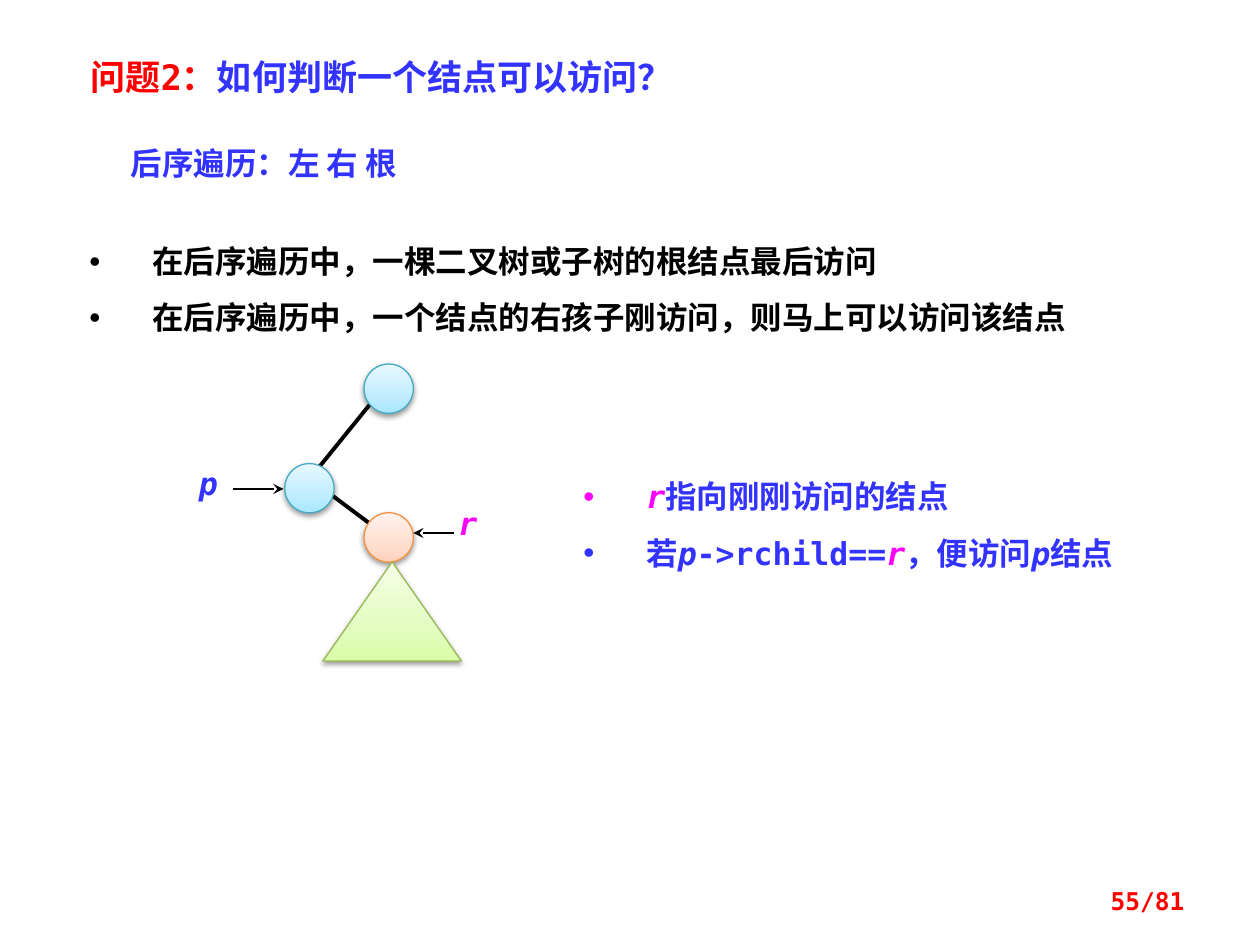
"""Builds a slide on deciding when a node may be visited in post-order traversal."""
from copy import deepcopy

from lxml import etree
from pptx import Presentation
from pptx.dml.color import RGBColor
from pptx.enum.shapes import MSO_CONNECTOR, MSO_SHAPE
from pptx.enum.text import MSO_ANCHOR, PP_ALIGN
from pptx.oxml.ns import qn
from pptx.util import Pt

LINE = MSO_CONNECTOR.STRAIGHT
CIRCLE, TRIANGLE = MSO_SHAPE.OVAL, MSO_SHAPE.ISOSCELES_TRIANGLE
TOP, MIDDLE = MSO_ANCHOR.TOP, MSO_ANCHOR.MIDDLE
LEFT, RIGHT = PP_ALIGN.LEFT, PP_ALIGN.RIGHT

MONO, HAN = "DejaVu Sans Mono", "Noto Sans CJK SC"
BLACK = RGBColor(0x00, 0x00, 0x00)
WHITE = RGBColor(0xFF, 0xFF, 0xFF)
RED = RGBColor(0xFF, 0x00, 0x00)
BLUE = RGBColor(0x33, 0x33, 0xFF)
PINK = RGBColor(0xFF, 0x00, 0xFF)
SKY = ("A7E6FF", "C1EDFF", "E7F8FF", "46AAC5")
PEACH = ("FFD2BD", "FFDED0", "FFF2ED", "F69240")
LIME = ("DAFDA7", "E4FCC2", "F5FFE7", "98B955")
STOPS = (0, 0.35, 1)

TITLE = [[("问题2：", RED, False), ("如何判断一个结点可以访问？", BLUE, False)]]
ORDER = [[("后序遍历：左 右 根", BLUE, False)]]
FACTS = [
    [("在后序遍历中，一棵二叉树或子树的根结点最后访问", BLACK, False)],
    [("在后序遍历中，一个结点的右孩子刚访问，则马上可以访问该结点", BLACK, False)],
]
RULES = [
    [("r", PINK, True), ("指向刚刚访问的结点", BLUE, False)],
    [("若", BLUE, False), ("p", BLUE, True), ("->rchild==", BLUE, False),
     ("r", PINK, True), ("，便访问", BLUE, False), ("p", BLUE, True),
     ("结点", BLUE, False)],
]
P_LABEL = [[("p", BLUE, True)]]
R_LABEL = [[("r", PINK, True)]]
PAGE_NUMBER = [[("55/81", RED, False)]]

NODE_SIZE = 28.2
NODES = [(222.1, 222.1, SKY), (176.8, 279, SKY), (222.1, 307.1, PEACH)]
EDGES = [(213.1, 229, 179.3, 270.7), (188.6, 282.2, 211.7, 299.5)]
POINTERS = [(133.2, 279.4, 162, 279.4), (259.2, 304.6, 236.2, 304.6)]
SUBTREE = (184.5, 321.1, 79.2, 56.7)


def write(shape, paragraphs, size=18, font=MONO, anchor=TOP, align=LEFT,
          spacing=None, bullets=False):
    frame = shape.text_frame
    frame.word_wrap = True
    frame.vertical_anchor = anchor
    for index, spans in enumerate(paragraphs):
        para = frame.paragraphs[0] if index == 0 else frame.add_paragraph()
        para.alignment = align
        if spacing:
            para.line_spacing = spacing
        if bullets:
            props = para._p.get_or_add_pPr()
            props.set("marL", str(Pt(36)))
            props.set("indent", str(-Pt(36)))
            etree.SubElement(props, qn("a:buFont"), typeface="Arial")
            etree.SubElement(props, qn("a:buChar"), char="•")
        for text, color, italic in spans:
            span = para.add_run()
            span.text = text
            span.font.size = Pt(size)
            span.font.name = font
            span.font.bold = True
            span.font.italic = italic
            span.font.color.rgb = color
            span.font._element.find(qn("a:latin")).addnext(
                etree.Element(qn("a:ea"), typeface=HAN))
    return frame


def add_text(page, area, paragraphs, **style):
    box = page.shapes.add_textbox(*map(Pt, area))
    write(box, paragraphs, **style)
    return box


def add_tree_part(page, kind, area, palette):
    part = page.shapes.add_shape(kind, *map(Pt, area))
    *tones, outline = map(RGBColor.from_string, palette)
    part.line.color.rgb = outline
    part.line.width = Pt(0.75)
    part.fill.gradient()
    part.fill.gradient_angle = 90
    props = part._element.spPr
    stop_list = props.find(".//" + qn("a:gsLst"))
    stop_list.append(deepcopy(stop_list[0]))
    for stop, position, tone in zip(part.fill.gradient_stops, STOPS, tones):
        stop.position = position
        stop.color.rgb = tone
    effects = etree.SubElement(props, qn("a:effectLst"))
    shadow = etree.SubElement(
        effects, qn("a:outerShdw"), blurRad=str(Pt(3.1)), dist=str(Pt(1.6)),
        dir="5400000", rotWithShape="0")
    color = etree.SubElement(shadow, qn("a:srgbClr"), val="000000")
    etree.SubElement(color, qn("a:alpha"), val="38000")


def add_line(page, ends, width, arrow=False):
    line = page.shapes.add_connector(LINE, *map(Pt, ends))
    line.line.color.rgb = BLACK
    line.line.width = Pt(width)
    if arrow:
        etree.SubElement(line.line._get_or_add_ln(), qn("a:tailEnd"), type="stealth")
    etree.SubElement(line._element.spPr, qn("a:effectLst"))


def main():
    deck = Presentation()
    deck.slide_width, deck.slide_height = Pt(720), Pt(540)
    page = deck.slides.add_slide(deck.slide_layouts[5])

    title = page.shapes.title
    title.left, title.top, title.width, title.height = map(Pt, (44.6, 28.1, 450, 31.7))
    write(title, TITLE, size=20)

    facts = add_text(page, (36.7, 119.5, 593.3, 82.1), FACTS,
                     spacing=Pt(32), bullets=True)
    facts.fill.solid()
    facts.fill.fore_color.rgb = WHITE
    frame = facts.text_frame
    frame.margin_left = Pt(14.4)
    frame.margin_top = frame.margin_bottom = Pt(8.64)
    add_text(page, (67.7, 78.5, 216, 28.8), ORDER, font=HAN)

    for ends in EDGES:
        add_line(page, ends, 2.25)
    for x, y, palette in NODES:
        corner = (x - NODE_SIZE / 2, y - NODE_SIZE / 2)
        add_tree_part(page, CIRCLE, (*corner, NODE_SIZE, NODE_SIZE), palette)
    for ends in POINTERS:
        add_line(page, ends, 0.75, arrow=True)
    add_tree_part(page, TRIANGLE, SUBTREE, LIME)

    add_text(page, (254.9, 284.4, 33.8, 28.8), R_LABEL)
    add_text(page, (106.6, 261.4, 39.6, 28.8), P_LABEL)
    add_text(page, (326.2, 258.5, 331.9, 68.4), RULES, spacing=1.5, bullets=True)
    add_text(page, (516.2, 500.4, 167.8, 28.8), PAGE_NUMBER,
             size=14, anchor=MIDDLE, align=RIGHT)
    deck.save("out.pptx")


if __name__ == "__main__":
    main()
